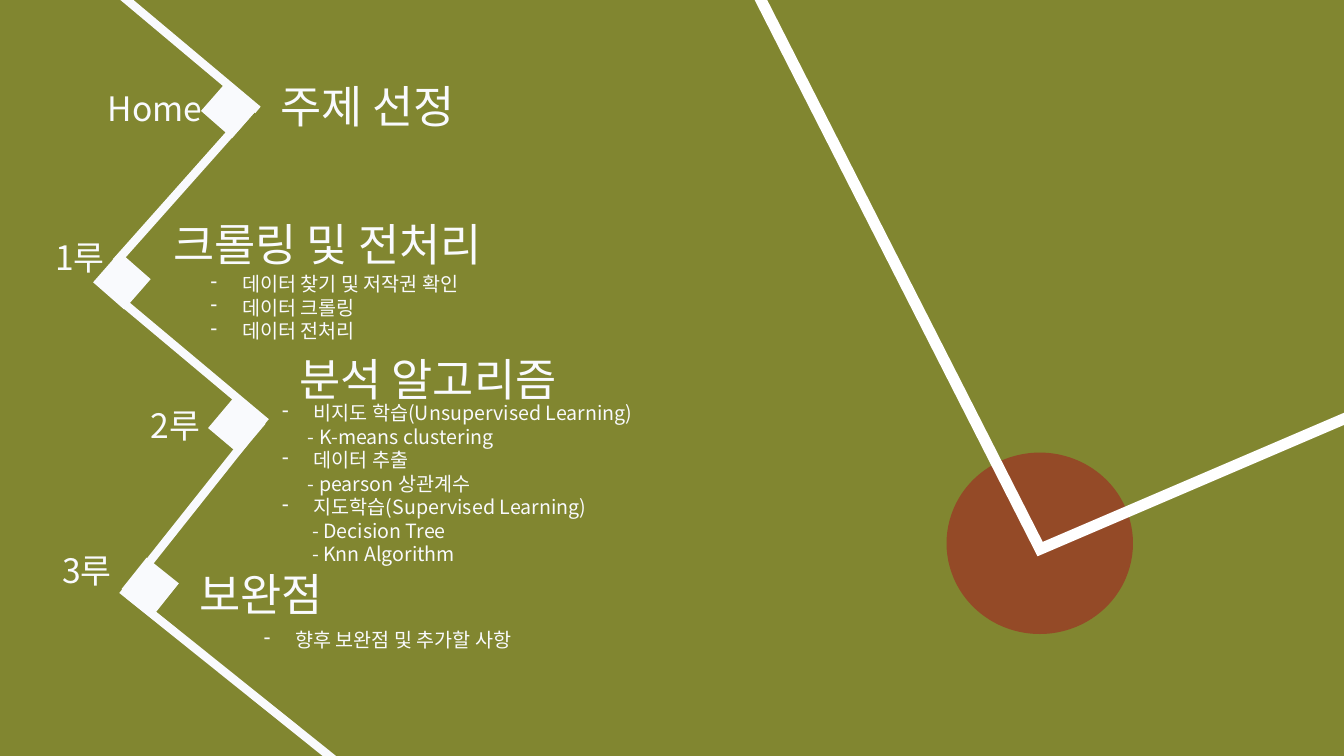
from dataclasses import dataclass

from lxml.etree import SubElement
from pptx import Presentation
from pptx.dml.color import RGBColor
from pptx.enum.shapes import MSO_CONNECTOR as Connector, MSO_SHAPE as Shape
from pptx.enum.text import MSO_AUTO_SIZE as AutoSize
from pptx.oxml.ns import qn
from pptx.util import Pt


@dataclass(frozen=True)
class Theme:
    grass: RGBColor = RGBColor.from_string("818630")
    chalk: RGBColor = RGBColor.from_string("F9FAFD")
    foul_line: RGBColor = RGBColor.from_string("FFFFFF")
    clay: RGBColor = RGBColor.from_string("944A27")
    font: str = "Noto Sans CJK KR"
    heading: int = 32
    label: int = 24
    body: int = 14


class FieldSlide:
    def __init__(self, presentation, theme):
        self.theme = theme
        self.slide = presentation.slides.add_slide(presentation.slide_layouts[6])
        background = self.slide.background.fill
        background.solid()
        background.fore_color.rgb = theme.grass

    def text(self, left, top, width, height, items, size):
        """Each item is (text, left margin, first-line indent, bullet)."""
        box = self.slide.shapes.add_textbox(Pt(left), Pt(top), Pt(width), Pt(height))
        frame = box.text_frame
        frame.word_wrap = True
        frame.auto_size = AutoSize.SHAPE_TO_FIT_TEXT
        for number, (words, margin, indent, bullet) in enumerate(items):
            paragraph = frame.paragraphs[0] if number == 0 else frame.add_paragraph()
            paragraph.text = words
            properties = paragraph._p.get_or_add_pPr()
            properties.set("marL", str(Pt(margin)))
            properties.set("indent", str(Pt(indent)))
            if bullet:
                SubElement(properties, qn("a:buChar")).set("char", bullet)
            font = paragraph.font
            font.size = Pt(size)
            font.color.rgb = self.theme.chalk
            font.name = self.theme.font
            defaults = properties.find(qn("a:defRPr"))
            SubElement(defaults, qn("a:ea")).set("typeface", self.theme.font)

    def line(self, start, end):
        x1, y1, x2, y2 = (Pt(value) for value in (*start, *end))
        connector = self.slide.shapes.add_connector(Connector.STRAIGHT, x1, y1, x2, y2)
        connector.line.color.rgb = self.theme.chalk
        connector.line.width = Pt(6)
        SubElement(connector._element.spPr, qn("a:effectLst"))

    def filled(self, kind, center, width, height, color, rotation=0):
        x, y = center
        shape = self.slide.shapes.add_shape(
            kind, Pt(x - width / 2), Pt(y - height / 2), Pt(width), Pt(height))
        shape.shadow.inherit = False
        shape.fill.solid()
        shape.fill.fore_color.rgb = color
        shape.line.fill.background()
        shape.rotation = rotation

    def corner(self, points):
        start, *others = [(Pt(x), Pt(y)) for x, y in points]
        builder = self.slide.shapes.build_freeform(*start)
        builder.add_line_segments(others, close=False)
        shape = builder.convert_to_shape()
        shape.shadow.inherit = False
        shape.fill.background()
        shape.line.color.rgb = self.theme.foul_line
        shape.line.width = Pt(8)
        miter = SubElement(shape.line._get_or_add_ln(), qn("a:miter"))
        miter.set("lim", "800000")


def bulleted(words):
    return words, 22.5, -22.5, "-"


def nested(words, margin):
    return "- " + words, margin, 0, None


# Label and its place, heading and its place, base centre and turn
STOPS = [
    ("Home", (69.8, 59), "주제 선정", (193, 52.6), (164.2, 78.1), 311.2),
    ("1루", (32.4, 165.6), "크롤링 및 전처리", (116.6, 151.2), (87.1, 200.5), 311.2),
    ("2루", (100.8, 285.8), "분석 알고리즘", (206.6, 247.7), (169.2, 304.2), 310.1),
    ("3루", (37.4, 389.5), "보완점", (135.4, 401), (107.3, 418.7), 308.6),
]

BASE_PATH = [
    ((82.1, -7.2), (184.3, 78.5)),
    ((181.4, 76.3), (82.8, 187.2)),
    ((87.8, 216), (190.1, 301.7)),
    ((175, 315.4), (103, 406.1)),
    ((87.1, 421.2), (244, 547)),
]

DETAILS = [
    ((143.3, 190.8, 368.6, 57.6), [
        bulleted("데이터 찾기 및 저작권 확인"),
        bulleted("데이터 크롤링"),
        bulleted("데이터 전처리"),
    ]),
    ((194.4, 283, 324, 158.4), [
        bulleted("비지도 학습(Unsupervised Learning)"),
        nested("K-means clustering", 18.5),
        bulleted("데이터 추출"),
        nested("pearson 상관계수", 18.5),
        bulleted("지도학습(Supervised Learning)"),
        nested("Decision Tree", 21.5),
        nested("Knn Algorithm", 21.5),
    ]),
    ((181.4, 445, 313.9, 41), [bulleted("향후 보완점 및 추가할 사항")]),
]


def main():
    presentation = Presentation()
    presentation.slide_width, presentation.slide_height = Pt(960), Pt(540)
    theme = Theme()
    field = FieldSlide(presentation, theme)

    # Mound and foul lines
    field.filled(Shape.OVAL, (742.7, 388.1), 133.2, 129.6, theme.clay)
    field.corner([(540, -7), (743, 392.2), (967, 296.2)])

    # Labels and headings
    for label, label_at, heading, heading_at, _, _ in STOPS:
        field.text(*label_at, 89.3, 35.3, [(label, 0, 0, None)], theme.label)
        field.text(*heading_at, 405.4, 45.4, [(heading, 0, 0, None)], theme.heading)

    # Base path and bases
    for start, end in BASE_PATH:
        field.line(start, end)
    for *_, center, turn in STOPS:
        field.filled(Shape.RECTANGLE, center, 28.8, 29.5, theme.chalk, turn)

    # Details under the headings
    for place, items in DETAILS:
        field.text(*place, items, theme.body)

    presentation.save("out.pptx")


if __name__ == "__main__":
    main()
